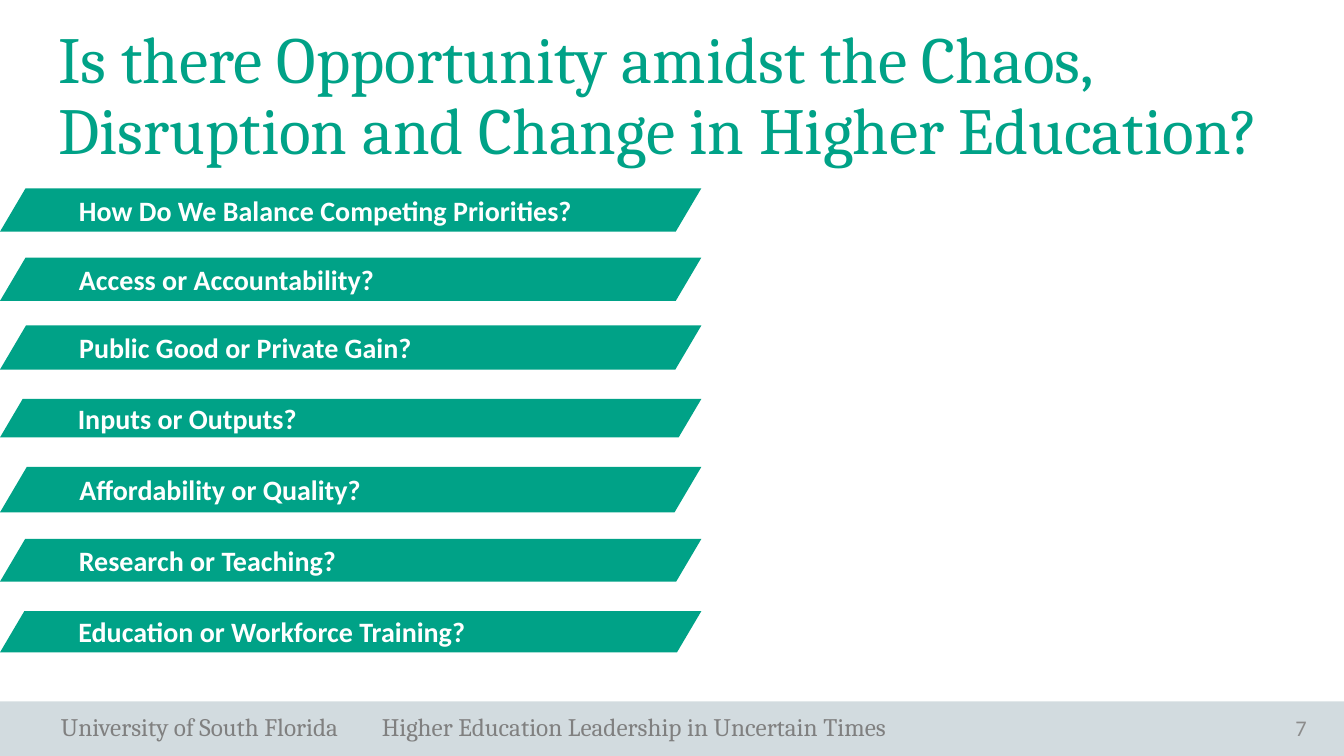
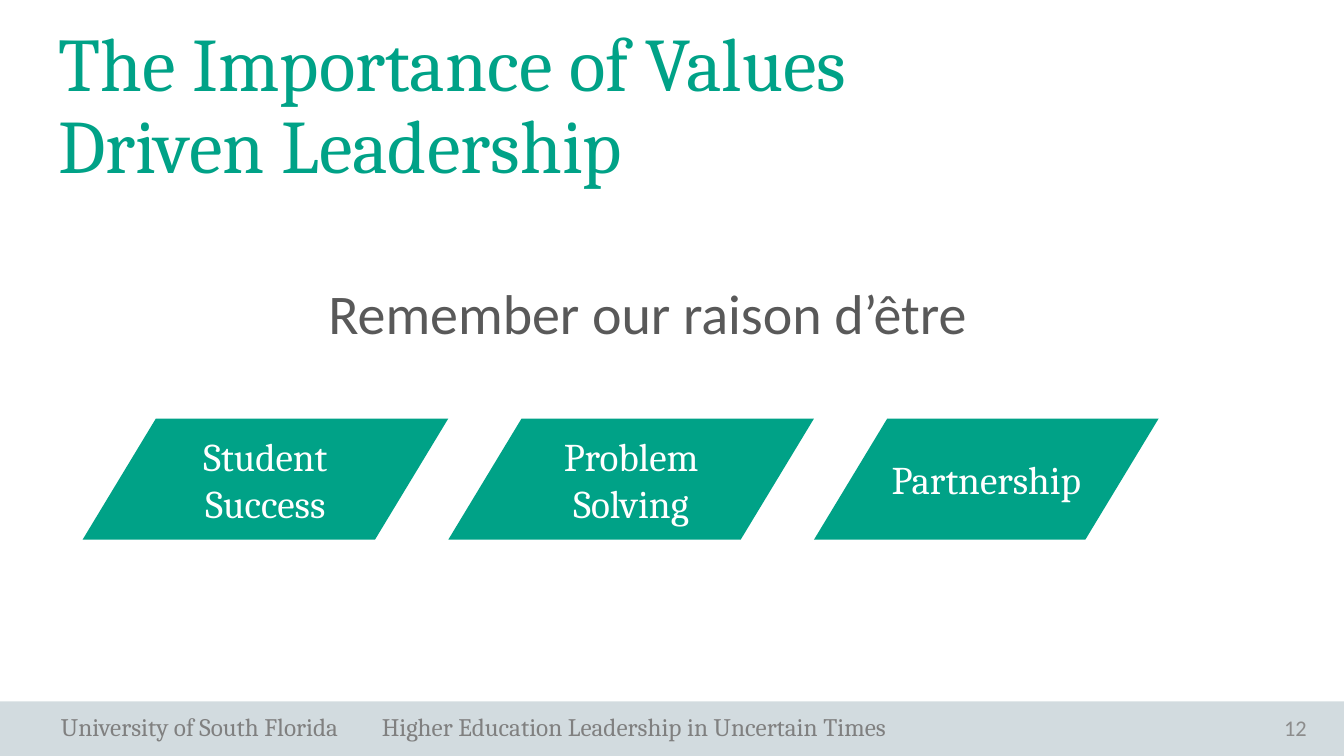
"""Build two slides on leadership in higher education with python-pptx."""
import pptx
import pptx.dml.color
import pptx.enum.shapes
import pptx.enum.text
import pptx.oxml.ns
import pptx.util
from lxml import etree

Pt = pptx.util.Pt
ALIGN = pptx.enum.text.PP_ALIGN
ANCHOR = pptx.enum.text.MSO_ANCHOR
SHAPE = pptx.enum.shapes.MSO_SHAPE

COLORS = {"teal": "00A287", "band": "90A7B0", "footer": "808080",
          "number": "8C8C8C", "body": "595959", "white": "FFFFFF"}
SERIF, SANS = "Cambria", "Calibri"
WIDTH, HEIGHT = 960, 540
BAND_TOP = 501

FOOTERS = [("University of South Florida", 36.5, 225),
           ("Higher Education Leadership in Uncertain Times", 265.7, 400)]

OPPORTUNITY = {
    "title": "Is there Opportunity amidst the Chaos, "
             "Disruption and Change in Higher Education?",
    "size": 47, "width": 906, "number": "7"}
QUESTIONS = [("How Do We Balance Competing Priorities?", 134.5, 31),
             ("Access or Accountability?", 184, 31),
             ("Public Good or Private Gain?", 232.5, 31.5),
             ("Inputs or Outputs?", 285, 27.5),
             ("Affordability or Quality?", 333.5, 32.5),
             ("Research or Teaching?", 385, 30.5),
             ("Education or Workforce Training?", 436.5, 29.5)]

VALUES = {"title": "The Importance of Values\vDriven Leadership",
          "size": 54, "width": 828, "number": "12"}
REMINDER = "Remember our raison d’être"
PILLARS = [("Student Success", 261.2), ("Problem Solving", 261.2),
           ("Partnership", 246.2)]
PILLARS_LEFT, PILLARS_TOP, PILLARS_HEIGHT = 59, 299, 86.5


def rgb(name):
    return pptx.dml.color.RGBColor.from_string(COLORS[name])


def write(shape, text, size, font, color, align=ALIGN.LEFT,
          anchor=ANCHOR.TOP, bold=False):
    frame = shape.text_frame
    frame.text = text
    frame.word_wrap = True
    frame.vertical_anchor = anchor
    paragraph = frame.paragraphs[0]
    paragraph.alignment = align
    for run in paragraph.runs:
        run.font.size = Pt(size)
        run.font.name = font
        run.font.bold = bold
        run.font.color.rgb = rgb(color)
    return paragraph


def add_text(slide, box, *style, **options):
    label = slide.shapes.add_textbox(*map(Pt, box))
    write(label, *style, **options)
    return label


def add_block(slide, kind, box, color):
    block = slide.shapes.add_shape(kind, *map(Pt, box))
    block.shadow.inherit = False
    block.fill.solid()
    block.fill.fore_color.rgb = rgb(color)
    block.line.fill.background()
    return block


def add_slanted(slide, box, slant, *style, **options):
    slanted = add_block(slide, SHAPE.PARALLELOGRAM, box, "teal")
    slanted.adjustments[0] = slant
    write(slanted, *style, anchor=ANCHOR.MIDDLE, **options)


def move_footer_to_layout(slide):
    band = add_block(slide, SHAPE.RECTANGLE,
                     (0, BAND_TOP, WIDTH, HEIGHT - BAND_TOP), "band")
    tint = band.element.spPr.find(".//" + pptx.oxml.ns.qn("a:srgbClr"))
    etree.SubElement(tint, pptx.oxml.ns.qn("a:alpha"), val="40000")
    labels = [add_text(slide, (left, 504.7, width, 29), text, 18, SERIF,
                       "footer")
              for text, left, width in FOOTERS]
    for part in [band, *labels]:
        slide.slide_layout.shapes.element.append(part.element)


def add_slide(deck, layout, content):
    slide = deck.slides.add_slide(layout)
    title = slide.shapes.title
    title.left, title.top = Pt(34.5), Pt(15.3)
    title.width, title.height = Pt(content["width"]), Pt(51)
    paragraph = write(title, content["title"], content["size"], SERIF, "teal")
    paragraph.line_spacing = 0.9
    title.text_frame.auto_size = pptx.enum.text.MSO_AUTO_SIZE.NONE
    add_text(slide, (885.5, 505.5, 55, 29), content["number"], 16, SANS,
             "number", align=ALIGN.RIGHT, anchor=ANCHOR.MIDDLE)
    return slide


def main():
    deck = pptx.Presentation()
    deck.slide_width, deck.slide_height = Pt(WIDTH), Pt(HEIGHT)
    title_only = deck.slide_layouts[5]

    opportunity = add_slide(deck, title_only, OPPORTUNITY)
    move_footer_to_layout(opportunity)
    for question, top, height in QUESTIONS:
        add_slanted(opportunity, (0, top, 501, height), 0.59,
                    question, 20, SANS, "white", bold=True)

    values = add_slide(deck, title_only, VALUES)
    left = PILLARS_LEFT
    for pillar, width in PILLARS:
        add_slanted(values, (left, PILLARS_TOP, width, PILLARS_HEIGHT), 0.605,
                    pillar, 28, SERIF, "white", align=ALIGN.CENTER)
        left += width
    add_text(values, (227.5, 195.3, 482, 55.5), REMINDER, 40, SANS, "body")

    deck.save("out.pptx")


if __name__ == "__main__":
    main()
